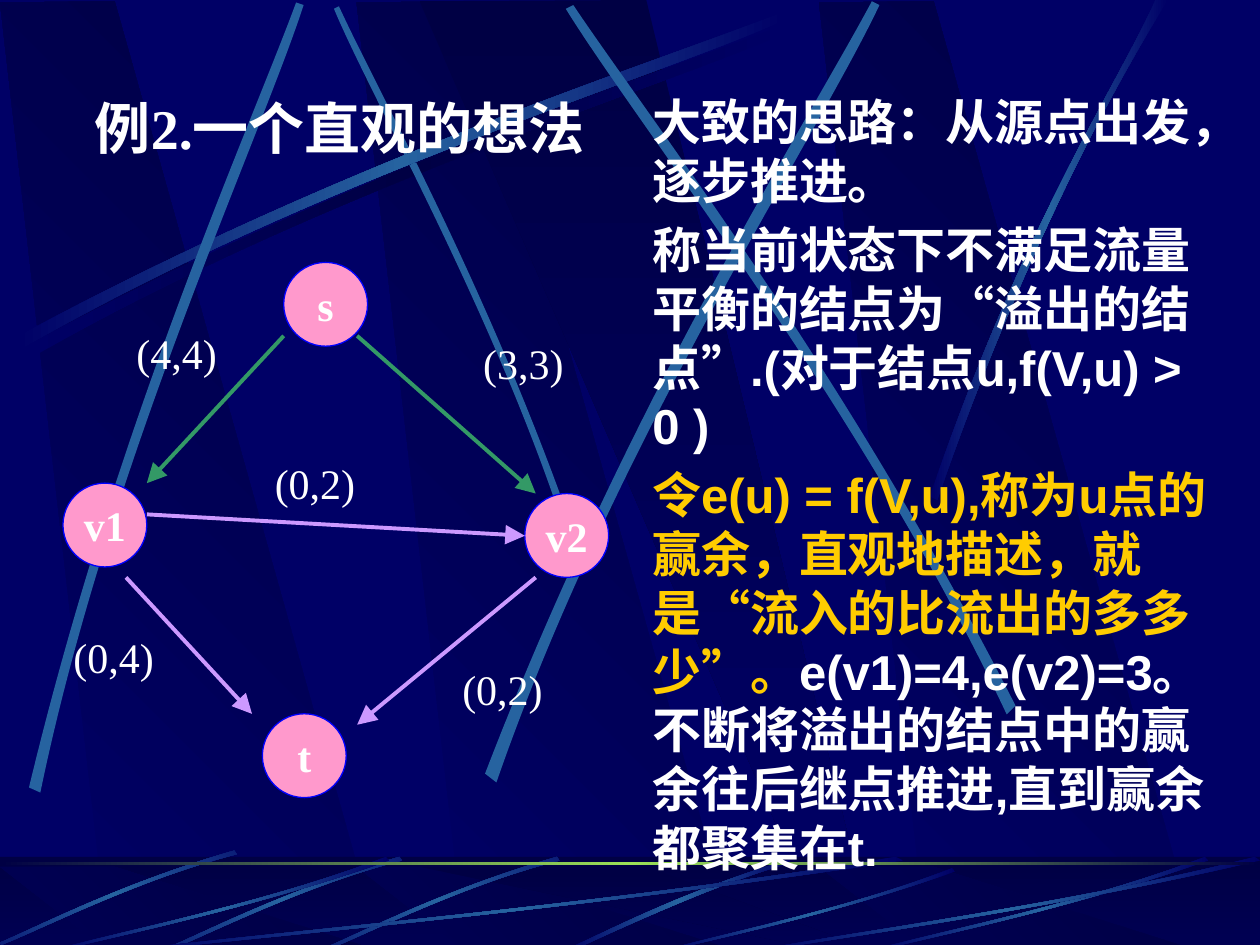
from copy import deepcopy
from math import cos, radians, sin

from pptx import Presentation
from pptx.dml.color import RGBColor
from pptx.enum.shapes import MSO_CONNECTOR as Connector, MSO_SHAPE as Shape
from pptx.enum.text import MSO_ANCHOR as Anchor, PP_ALIGN as Align
from pptx.oxml.ns import qn
from pptx.oxml.xmlchemy import OxmlElement
from pptx.util import Cm, Pt

NAVY = RGBColor(0x00, 0x00, 0x66)
DARK = RGBColor(0x00, 0x00, 0x44)
STEEL = RGBColor(0x26, 0x63, 0xA0)
LIME = RGBColor(0x9C, 0xE1, 0x57)
PINK = RGBColor(0xFF, 0x99, 0xCC)
BLUE = RGBColor(0x00, 0x00, 0xFF)
GREEN = RGBColor(0x33, 0x99, 0x66)
LILAC = RGBColor(0xCC, 0x99, 0xFF)
WHITE = RGBColor(0xFF, 0xFF, 0xFF)
GOLD = RGBColor(0xFF, 0xCC, 0x00)
SERIF = "Times New Roman"
SANS = "Arial"
GRID = Cm(0.0254)

presentation = Presentation()
presentation.slide_width = Cm(25.4)
presentation.slide_height = Cm(19.05)
slide = presentation.slides.add_slide(presentation.slide_layouts[6])
slide.background.fill.solid()
slide.background.fill.fore_color.rgb = NAVY


def paint(shape, colors, angle=0):
    shape.shadow.inherit = False
    shape.line.fill.background()
    if len(colors) == 1:
        shape.fill.solid()
        shape.fill.fore_color.rgb = colors[0]
        return
    shape.fill.gradient()
    shape.fill.gradient_angle = angle
    stop_list = shape._element.spPr.find(qn("a:gradFill")).find(qn("a:gsLst"))
    if len(colors) == 3:
        stop_list.insert(1, deepcopy(stop_list[0]))
    for index, (stop, color) in enumerate(zip(shape.fill.gradient_stops, colors)):
        stop.position = index / (len(colors) - 1)
        stop.color.rgb = color


def outline(points, colors, angle=0, curved=False, rotation=0):
    c, s = cos(radians(rotation)), sin(radians(rotation))
    corners = [((x * c + y * s) * GRID, (y * c - x * s) * GRID) for x, y in points]
    builder = slide.shapes.build_freeform(*corners[0], scale=1.0)
    builder.add_line_segments(corners[1:], close=True)
    shape = builder.convert_to_shape()
    if curved:
        segments = list(shape._element.spPr.iter(qn("a:lnTo")))
        for group in (segments[:3], segments[4:]):
            curve = OxmlElement("a:cubicBezTo")
            group[0].addprevious(curve)
            for segment in group:
                curve.append(segment[0])
                segment.getparent().remove(segment)
    if rotation:
        x, y = shape.left + shape.width / 2, shape.top + shape.height / 2
        shape.left = round(x * c - y * s - shape.width / 2)
        shape.top = round(x * s + y * c - shape.height / 2)
        shape.rotation = rotation
    paint(shape, colors, angle)


FADE = (NAVY, STEEL, NAVY)
SOLID = (STEEL,)
band_lefts = (283, 0, 650)

for left in band_lefts:
    outline([(left + 86, 751), (left + 302, 753), (left + 91, 1), (left, 2)], (NAVY, DARK), 45)
outline([(333, 1), (658, 751), (694, 751), (513, 0)], (DARK, NAVY), 270)

long_ribbon = [(14, 267), (278, 125), (518, 51), (620, 10),
               (623, 16), (522, 61), (248, 143), (17, 277)]
outline([(x + 6, y + 8) for x, y in long_ribbon], (NAVY, DARK, NAVY), 0, True)
for rotation, colors, points in [
    (45, SOLID, [(460, 436), (391, 234), (302, 77), (269, 5),
                 (265, 7), (295, 79), (398, 258), (454, 439)]),
    (0, FADE, long_ribbon),
    (311.7, SOLID, [(23, 625), (93, 334), (197, 105), (235, 2),
                    (241, 4), (207, 109), (86, 368), (32, 629)]),
    (321.6, SOLID, [(385, 614), (498, 320), (638, 102), (692, 1),
                    (698, 4), (649, 108), (486, 355), (394, 621)]),
    (34.7, SOLID, [(806, 560), (670, 293), (516, 95), (455, 4),
                   (449, 7), (507, 101), (685, 325), (799, 567)]),
    (0, FADE, [(738, 394), (814, 173), (888, 66), (917, 0),
               (927, 0), (836, 145), (769, 322), (744, 397)]),
]:
    outline(points, colors, 0, True, rotation)

floor = slide.shapes.add_shape(Shape.RECTANGLE, 0, Cm(17.27), Cm(25.4), Cm(1.9))
paint(floor, (DARK, NAVY), 270)
for left in band_lefts:
    outline([(left + 86, 755), (left + 302, 755), (left + 91, 688), (left, 688)], (NAVY, DARK), 45)
outline([(333, 688), (658, 755), (694, 755), (513, 688)], (DARK, NAVY), 270)
veil = slide.shapes.add_shape(Shape.RECTANGLE, 0, Cm(17.27), Cm(25.4), Cm(1.9))
paint(veil, (DARK,))
alpha = OxmlElement("a:alpha")
alpha.set("val", "50000")
veil._element.spPr.find(qn("a:solidFill"))[0].append(alpha)

outline([(627, 682), (537, 709), (477, 742), (448, 754),
         (453, 755), (490, 738), (571, 700), (628, 685)], FADE, 0, True)
short_ribbon = [(186, 680), (99, 705), (31, 740), (0, 753),
                (1, 755), (32, 743), (109, 703), (188, 683)]
for left, rise in ((256, 0), (131, 0), (0, 5)):
    outline([(x + left, y - rise) for x, y in short_ribbon], FADE, 0, True, 315)
unit_ribbon = [(1, 0.04), (0.57, 0.57), (0.17, 0.85), (0.01, 1),
               (0, 0.99), (0.17, 0.81), (0.62, 0.51), (0.99, 0)]
for left, top, width in ((100, 680, 617), (42, 680, 267), (527, 689, 231),
                         (692, 680, 267), (600, 680, 400)):
    outline([(left + x * width, top + y * (755 - top)) for x, y in unit_ribbon], FADE, 0, True)
horizon = slide.shapes.add_shape(Shape.RECTANGLE, 0, Cm(17.37), Cm(25.4), Cm(0.06))
paint(horizon, (DARK, LIME, DARK))

for name, left, top in (("v1", 1.27, 9.74), ("t", 5.29, 14.39),
                        ("s", 5.72, 5.29), ("v2", 10.58, 9.95)):
    node = slide.shapes.add_shape(Shape.OVAL, Cm(left), Cm(top), Cm(1.69), Cm(1.69))
    paint(node, (PINK,))
    node.line.color.rgb = BLUE
    node.line.width = Pt(0.75)
    node.text_frame.word_wrap = False
    node.text_frame.vertical_anchor = Anchor.MIDDLE
    paragraph = node.text_frame.paragraphs[0]
    paragraph.alignment = Align.CENTER
    run = paragraph.add_run()
    run.text = name
    run.font.name, run.font.size, run.font.bold = SERIF, Pt(24), True
    run.font.color.rgb = WHITE

for color, *ends in (
    (GREEN, 5.72, 6.77, 2.96, 9.74),
    (LILAC, 2.96, 10.37, 10.58, 10.8),
    (GREEN, 7.2, 6.77, 10.8, 9.95),
    (LILAC, 10.8, 11.64, 7.2, 14.61),
    (LILAC, 2.54, 11.64, 5.08, 14.39),
):
    edge = slide.shapes.add_connector(Connector.STRAIGHT, *map(Cm, ends))
    edge.line.color.rgb = color
    edge.line.width = Pt(2.25)
    arrowhead = OxmlElement("a:tailEnd")
    for key, value in (("type", "triangle"), ("w", "lg"), ("len", "lg")):
        arrowhead.set(key, value)
    edge.line._get_or_add_ln().append(arrowhead)
    edge._element.spPr.append(OxmlElement("a:effectLst"))

labels = [
    ((left, top, width, 1.27), wrap, Align.LEFT, 24, False, [[(text, SERIF, WHITE)]])
    for text, left, top, width, wrap in (
        ("(0,2)", 5.29, 9.1, 2.26, True),
        ("(4,4)", 2.5, 6.48, 2.13, False),
        ("(0,4)", 1.23, 12.6, 2.13, False),
        ("(3,3)", 9.49, 6.68, 2.13, False),
        ("(0,2)", 9.07, 13.25, 2.13, False),
    )
]
title = ((1.23, 1.77, 11.25, 1.6), True, Align.CENTER, 32, True,
         [[("例2.一个直观的想法", SERIF, WHITE)]])
explanation = ((12.9, 1.73, 11.99, 14.96), True, Align.LEFT, 28, True, [
    [("大致的思路：从源点出发，逐步推进。", SERIF, WHITE)],
    [("称当前状态下不满足流量平衡的结点为“溢出的结点”.(对于结点u,f(V,u) > 0 )", SANS, WHITE)],
    [("令e(u) = f(V,u),称为u点的赢余，直观地描述，就是“流入的比流出的多多少”。", SANS, GOLD),
     ("e(v1)=4,e(v2)=3。不断将溢出的结点中的赢余往后继点推进,直到赢余都聚集在t.", SANS, WHITE)],
])
for place, wrap, alignment, size, bold, paragraphs in labels + [title, explanation]:
    frame = slide.shapes.add_textbox(*map(Cm, place)).text_frame
    frame.word_wrap = wrap
    for index, runs in enumerate(paragraphs):
        paragraph = frame.add_paragraph() if index else frame.paragraphs[0]
        paragraph.alignment = alignment
        paragraph.space_before = Pt(5.6 if index else 0)
        for text, font, color in runs:
            run = paragraph.add_run()
            run.text = text
            run.font.name, run.font.size, run.font.bold = font, Pt(size), bold
            run.font.color.rgb = color

presentation.save("out.pptx")
